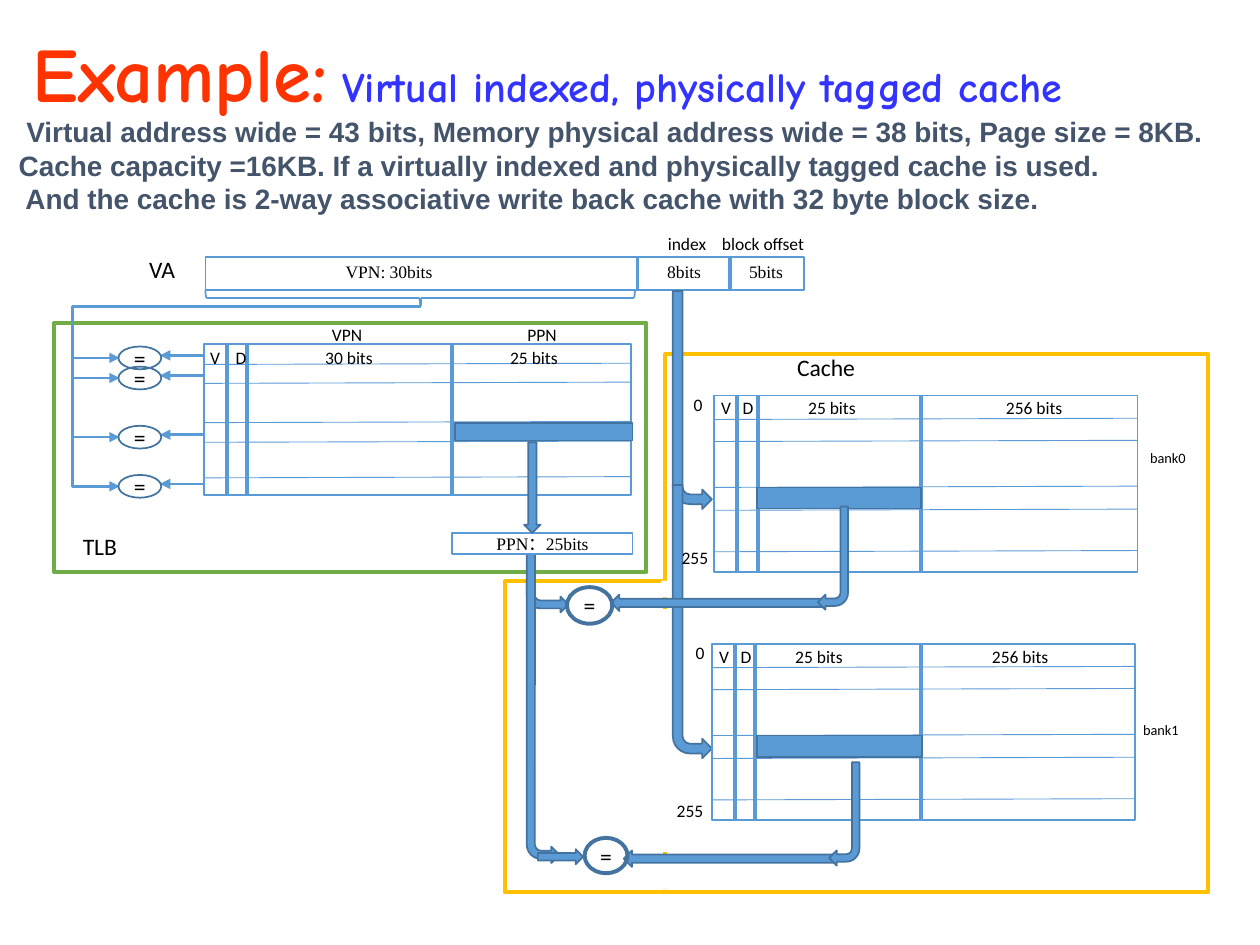
"""Build a slide on a virtually indexed, physically tagged cache with its TLB."""
from lxml.etree import SubElement
from pptx import Presentation
from pptx.dml.color import RGBColor
from pptx.enum.shapes import MSO_CONNECTOR, MSO_SHAPE
from pptx.enum.text import MSO_ANCHOR, MSO_AUTO_SIZE, PP_ALIGN
from pptx.oxml.ns import qn
from pptx.util import Pt

BLACK = RGBColor(0x00, 0x00, 0x00)
WHITE = RGBColor(0xFF, 0xFF, 0xFF)
BLUE = RGBColor(0x5B, 0x9B, 0xD5)
DARK_BLUE = RGBColor(0x43, 0x73, 0x9E)
GREEN = RGBColor(0x70, 0xAD, 0x47)
GOLD = RGBColor(0xFF, 0xC0, 0x00)
RED = RGBColor(0xFF, 0x33, 0x00)
TITLE_BLUE = RGBColor(0x33, 0x33, 0xFF)
SLATE = RGBColor(0x44, 0x54, 0x6A)
SERIF = "Times New Roman"
SANS = "Calibri"

presentation = Presentation()
presentation.slide_width = Pt(720)
presentation.slide_height = Pt(540)
slide = presentation.slides.add_slide(presentation.slide_layouts[5])


def add_block(kind, box, fill, line, weight=1, text="", size=10, font=SANS):
    shape = slide.shapes.add_shape(kind, *[Pt(value) for value in box])
    shape.shadow.inherit = False
    if fill is None:
        shape.fill.background()
    else:
        shape.fill.solid()
        shape.fill.fore_color.rgb = fill
    shape.line.color.rgb = line
    shape.line.width = Pt(weight)
    if text:
        frame = shape.text_frame
        frame.word_wrap = False
        frame.vertical_anchor = MSO_ANCHOR.MIDDLE
        frame.margin_top = frame.margin_bottom = 0
        paragraph = frame.paragraphs[0]
        paragraph.text = text
        paragraph.alignment = PP_ALIGN.CENTER
        paragraph.font.size = Pt(size)
        paragraph.font.name = font
        paragraph.font.color.rgb = BLACK
    return shape


def add_line(x1, y1, x2, y2, weight, color=BLUE, arrow=False):
    ends = [Pt(value) for value in (x1, y1, x2, y2)]
    connector = slide.shapes.add_connector(MSO_CONNECTOR.STRAIGHT, *ends)
    connector.line.color.rgb = color
    connector.line.width = Pt(weight)
    if arrow:
        SubElement(connector.line._get_or_add_ln(), qn("a:tailEnd"), type="triangle")
    SubElement(connector._element.spPr, qn("a:effectLst"))


title = slide.shapes.title
title.left, title.top, title.width, title.height = Pt(11.5), Pt(-7.9), Pt(708.5), Pt(104.4)
title.text_frame.word_wrap = True
title.text_frame.auto_size = MSO_AUTO_SIZE.NONE
title.text_frame.vertical_anchor = MSO_ANCHOR.MIDDLE
paragraph = title.text_frame.paragraphs[0]
paragraph.alignment = PP_ALIGN.LEFT
paragraph.line_spacing = 0.9
paragraph.font.name = "Comic Neue"
paragraph.font.bold = True
for text, size, color in [
    ("Example:", 44, RED),
    (" ", 24, RED),
    ("Virtual indexed, physically tagged cache", 24, TITLE_BLUE),
]:
    run = paragraph.add_run()
    run.text = text
    run.font.size = Pt(size)
    run.font.color.rgb = color

problem = slide.shapes.add_textbox(Pt(3.6), Pt(61.9), Pt(705.6), Pt(65.5))
problem.text_frame.word_wrap = True
problem.text_frame.text = "\n".join([
    " Virtual address wide = 43 bits, Memory physical address wide = 38 bits, Page size = 8KB.",
    "Cache capacity =16KB. If a virtually indexed and physically tagged cache is used.",
    " And the cache is 2-way associative write back cache with 32 byte block size.",
])
for paragraph in problem.text_frame.paragraphs:
    paragraph.font.name = "Arial"
    paragraph.font.size = Pt(16)
    paragraph.font.bold = True
    paragraph.font.color.rgb = SLATE

add_block(MSO_SHAPE.RECTANGLE, (31, 184.3, 338.4, 142.6), WHITE, GREEN, 2.25)
add_block(MSO_SHAPE.RECTANGLE, (288.7, 331.9, 91.4, 177.8), WHITE, GOLD, 2.25)
add_block(MSO_SHAPE.RECTANGLE, (380.2, 202.3, 310.3, 307.4), WHITE, GOLD, 2.25)
for x1, y1, x2, y2 in [
    (380.2, 347.8, 380.2, 486.7),
    (380.2, 493.2, 378.7, 508.3),
    (380.2, 331.9, 379.4, 341.3),
]:
    add_line(x1, y1, x2, y2, 4.5, WHITE)

add_block(MSO_SHAPE.RECTANGLE, (117.4, 146.9, 342, 18.7), WHITE, BLUE)
for x in (364.3, 416.9):
    add_line(x, 146.9, x, 166.3, 2.25)
brace = add_block(MSO_SHAPE.RIGHT_BRACE, (235.4, 47.5, 9.4, 245.5), None, BLUE)
brace.rotation = 90

for box in [
    (384.5, 166.3, 22.3, 124.6),
    (384.5, 277.2, 22.3, 156.2),
    (301, 331.9, 23.8, 18),
    (301, 315.4, 18.7, 177.8),
]:
    arrow = add_block(MSO_SHAPE.BENT_ARROW, box, BLUE, DARK_BLUE)
    arrow._element.spPr.find(qn("a:xfrm")).set("flipV", "1")
add_block(MSO_SHAPE.LEFT_ARROW, (349.2, 339.8, 121, 9.4), BLUE, DARK_BLUE)
add_block(MSO_SHAPE.LEFT_ARROW, (356.4, 486, 121, 9.4), BLUE, DARK_BLUE)
add_block(MSO_SHAPE.RIGHT_ARROW, (307.4, 485.3, 25.9, 8.6), BLUE, DARK_BLUE)

ROW_SHARES = (0.135, 0.26, 0.52, 0.65, 0.885)
for left, top, width, height, data_column, bar_left, bar_right in [
    (116.6, 196.6, 244.1, 86.4, 141.8, 143.3, 244.8),
    (408.2, 226.1, 241.9, 100.8, 118.1, 24.5, 118.1),
    (406.8, 367.9, 241.9, 100.8, 119.5, 25.9, 120.2),
]:
    add_block(MSO_SHAPE.RECTANGLE, (left, top, width, height), WHITE, BLUE)
    rows = [top + share * height for share in ROW_SHARES]
    for y in rows:
        add_line(left, y, left + width, y - 0.7, 0.5)
    for offset in (13, 24.8, data_column):
        add_line(left + offset, top, left + offset, top + height + 0.7, 2.25)
    bar = (left + bar_left, rows[2], bar_right - bar_left, rows[3] - rows[2] - 1)
    add_block(MSO_SHAPE.RECTANGLE, bar, BLUE, DARK_BLUE)

add_line(240.5, 175, 41, 175, 1.5)
add_line(240.5, 171, 240.5, 175, 1.5)
add_line(41.4, 175, 41.4, 278.3, 1.5)
for y in (204.5, 216, 249.8, 277.9):
    add_line(41.4, y, 68.4, y, 1.5, arrow=True)
    add_line(116.6, y - 1.4, 91.4, y - 1.4, 1.5, arrow=True)
    add_block(MSO_SHAPE.OVAL, (67.7, y - 6.5, 24.5, 13), None, DARK_BLUE, 1, "=", 13.5)
add_block(MSO_SHAPE.OVAL, (324, 335.5, 25.9, 20.9), None, DARK_BLUE, 2.25, "=", 13.5)
add_block(MSO_SHAPE.OVAL, (334.1, 478.8, 24.5, 20.2), None, DARK_BLUE, 2.25, "=", 13.5)

for left, top in [(467.3, 289.4), (473.8, 435.6)]:
    arrow = add_block(MSO_SHAPE.BENT_ARROW, (left, top, 17.3, 59), BLUE, DARK_BLUE)
    arrow.rotation = 180
add_block(MSO_SHAPE.RECTANGLE, (258.5, 304.6, 103, 12.2), WHITE, BLUE, 1,
          "PPN：25bits", 10, SERIF)
add_block(MSO_SHAPE.DOWN_ARROW, (299.5, 252.7, 9.4, 51.8), BLUE, DARK_BLUE)

for font, size, y, entries in [
    (SANS, 13.5, 153.7, [("VA", 92.6)]),
    (SERIF, 10, 155.4, [("VPN: 30bits", 222.3), ("8bits", 390.9), ("5bits", 437.7)]),
    (SANS, 10, 139.4, [("index", 392.6), ("block offset", 436)]),
    (SANS, 10, 190.9, [("VPN", 198.3), ("PPN", 309.7)]),
    (SANS, 10, 204, [("V", 122.9), ("D", 137.7), ("30 bits", 199.4), ("25 bits", 305.1)]),
    (SANS, 13.5, 312, [("TLB", 57.1)]),
    (SANS, 13.5, 209.7, [("Cache", 472)]),
    (SANS, 10, 230.9, [("0", 398.9)]),
    (SANS, 10, 232.6, [("V", 414.9), ("D", 427.4), ("25 bits", 475.4), ("256 bits", 590.9)]),
    (SANS, 8.2, 261.7, [("bank0", 667.4)]),
    (SANS, 10, 318.3, [("255", 397.1)]),
    (SANS, 10, 372.6, [("0", 400)]),
    (SANS, 10, 374.9, [("V", 413.7), ("D", 426.3), ("25 bits", 468), ("256 bits", 582.9)]),
    (SANS, 8.2, 417.1, [("bank1", 663.4)]),
    (SANS, 10, 463.4, [("255", 394.3)]),
]:
    for text, x in entries:
        label = slide.shapes.add_textbox(Pt(x - 32), Pt(y - 9), Pt(64), Pt(18))
        frame = label.text_frame
        frame.word_wrap = True
        frame.vertical_anchor = MSO_ANCHOR.MIDDLE
        frame.margin_left = frame.margin_right = frame.margin_top = frame.margin_bottom = 0
        paragraph = frame.paragraphs[0]
        paragraph.text = text
        paragraph.alignment = PP_ALIGN.CENTER
        paragraph.font.name = font
        paragraph.font.size = Pt(size)
        paragraph.font.color.rgb = BLACK

presentation.save("out.pptx")
